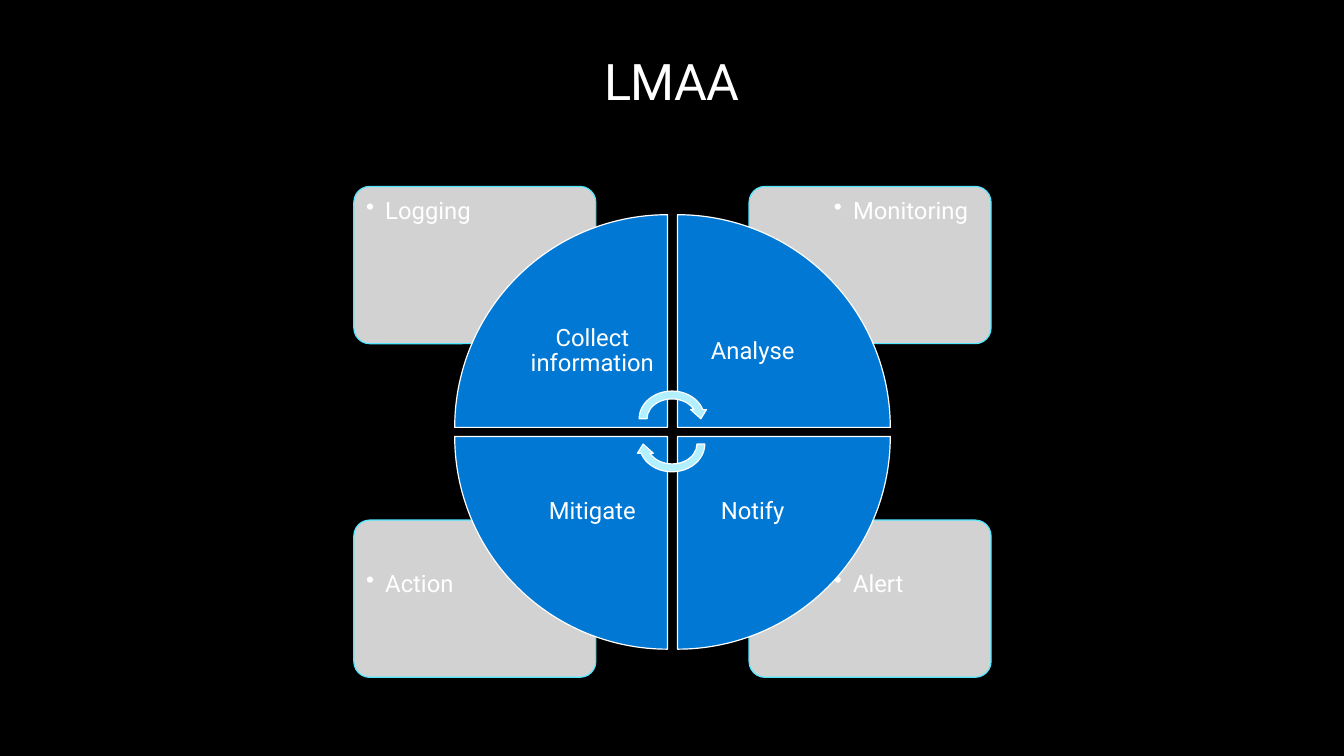
from lxml.etree import SubElement
from pptx import Presentation
from pptx.dml.color import RGBColor
from pptx.enum.shapes import MSO_SHAPE
from pptx.enum.text import MSO_ANCHOR, MSO_AUTO_SIZE, PP_ALIGN
from pptx.oxml.ns import qn
from pptx.util import Inches, Pt

COLORS = {
    "background": "000000",
    "text": "FFFFFF",
    "card": "D2D2D2",
    "card_line": "50E6FF",
    "wedge": "0078D4",
    "arrow": "B3F0FF",
}


def add_figure(kind, left, top, width, height, fill, line, rotation=0):
    shape = slide.shapes.add_shape(
        kind, Inches(left), Inches(top), Inches(width), Inches(height))
    shape.rotation = rotation
    shape.shadow.inherit = False
    shape.fill.solid()
    shape.fill.fore_color.rgb = RGBColor.from_string(COLORS[fill])
    shape.line.color.rgb = RGBColor.from_string(COLORS[line])
    shape.line.width = Pt(0.85)
    return shape


def write_text(shape, text, size, inset, anchor, alignment):
    frame = shape.text_frame
    frame.word_wrap = True
    frame.vertical_anchor = anchor
    frame.margin_left = frame.margin_right = Inches(inset)
    frame.margin_top = frame.margin_bottom = Inches(inset)
    paragraph = frame.paragraphs[0]
    paragraph.alignment = alignment
    run = paragraph.add_run()
    run.text = text
    run.font.name = "Roboto"
    run.font.size = Pt(size)
    run.font.color.rgb = RGBColor.from_string(COLORS["text"])
    return paragraph


presentation = Presentation()
presentation.slide_width = Inches(13.33)
presentation.slide_height = Inches(7.5)
slide = presentation.slides.add_slide(presentation.slide_layouts[5])
slide.background.fill.solid()
slide.background.fill.fore_color.rgb = RGBColor.from_string(COLORS["background"])

title = slide.shapes.title
title.left, title.top = Inches(0.64), Inches(0.5)
title.width, title.height = Inches(12.05), Inches(0.61)
paragraph = write_text(title, "LMAA", 36, 0, MSO_ANCHOR.TOP, PP_ALIGN.CENTER)
paragraph.runs[0].font._element.set("spc", "-50")
title.text_frame.auto_size = MSO_AUTO_SIZE.SHAPE_TO_FIT_TEXT

cards = [
    ("Alert", 7.43, 5.16, 0.75, 0.42),
    ("Action", 3.51, 5.16, 0.03, 0.42),
    ("Monitoring", 7.43, 1.85, 0.75, 0.03),
    ("Logging", 3.51, 1.85, 0.03, 0.03),
]
for text, left, top, label_x, label_y in cards:
    card = add_figure(MSO_SHAPE.ROUNDED_RECTANGLE, left, top, 2.4, 1.56,
                      "card", "card_line")
    card.adjustments[0] = 0.1
    label = slide.shapes.add_textbox(
        Inches(left + label_x), Inches(top + label_y), Inches(1.61), Inches(1.1))
    paragraph = write_text(label, text, 17, 0.09, MSO_ANCHOR.TOP, PP_ALIGN.LEFT)
    paragraph.line_spacing = 0.9
    properties = paragraph._p.get_or_add_pPr()
    properties.set("marL", str(Inches(0.19)))
    properties.set("indent", str(-Inches(0.19)))
    SubElement(properties, qn("a:buChar")).set("char", "•")

wedges = [
    ("Collect information", 4.51, 2.13, 5.13, 2.74),
    ("Analyse", 6.72, 2.13, 6.72, 2.74),
    ("Notify", 6.72, 4.33, 6.72, 4.33),
    ("Mitigate", 4.51, 4.33, 5.13, 4.33),
]
for index, (text, left, top, label_left, label_top) in enumerate(wedges):
    add_figure(MSO_SHAPE.PIE_WEDGE, left, top, 2.11, 2.11,
               "wedge", "text", 90 * index)
    label = slide.shapes.add_textbox(
        Inches(label_left), Inches(label_top), Inches(1.49), Inches(1.49))
    paragraph = write_text(label, text, 17, 0.13, MSO_ANCHOR.MIDDLE, PP_ALIGN.CENTER)
    paragraph.line_spacing = 0.9

for top, rotation in [(3.84, 0), (4.09, 180)]:
    add_figure(MSO_SHAPE.CIRCULAR_ARROW, 6.3, top, 0.73, 0.63,
               "arrow", "text", rotation)

presentation.save("out.pptx")
